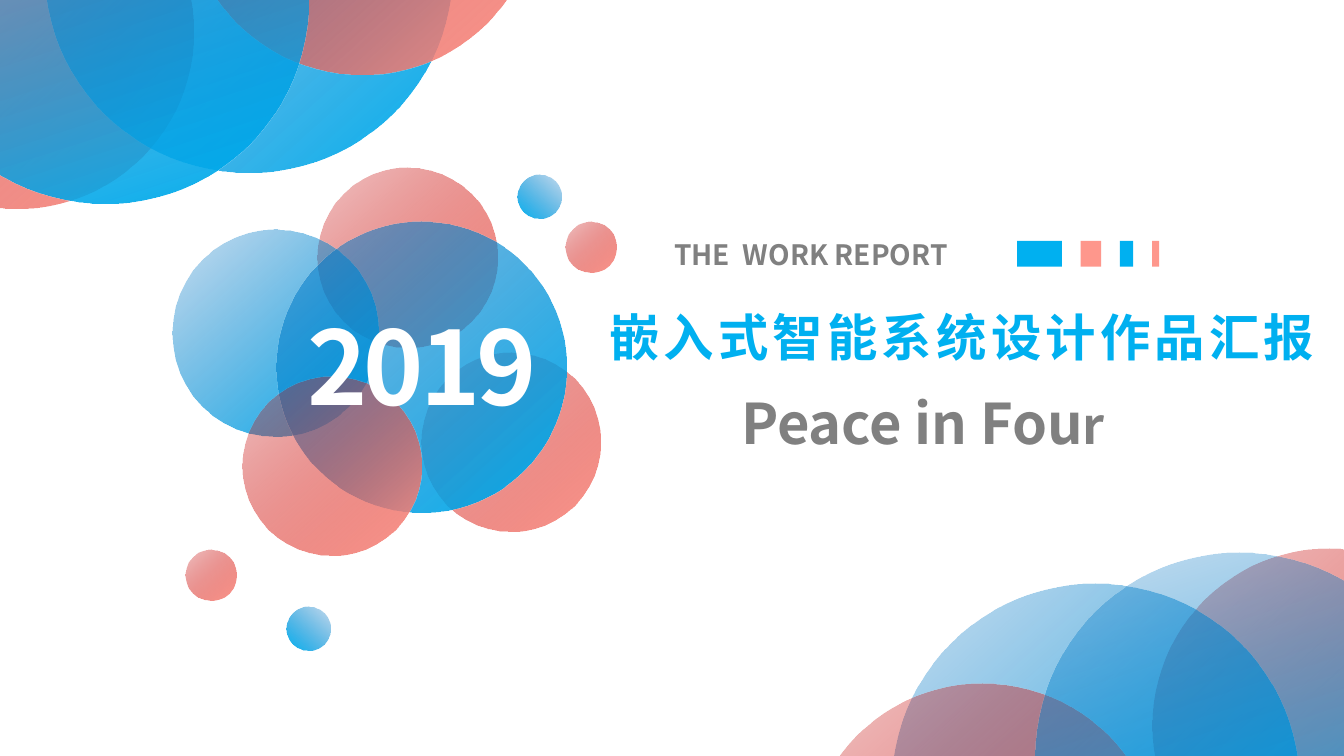
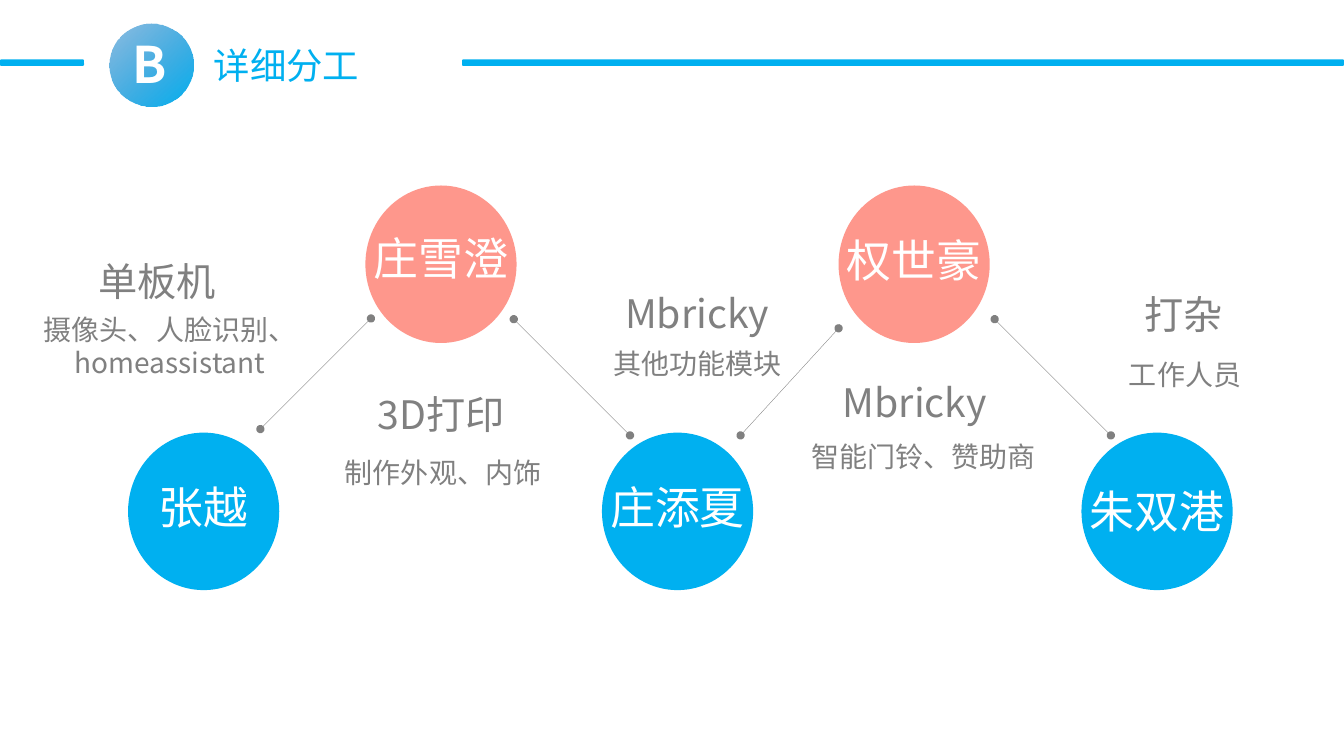
from lxml import etree
from pptx import Presentation
from pptx.dml.color import RGBColor
from pptx.enum import shapes, text
from pptx.oxml.ns import qn
from pptx.util import Pt

FONT = "Noto Sans CJK SC"
COLORS = {"blue": "00B0F0", "deep blue": "0070C0", "coral": "FE978C",
          "deep coral": "C00000", "grey": "808080", "white": "FFFFFF"}
CENTER = text.PP_ALIGN.CENTER
LEFT = text.PP_ALIGN.LEFT


def rgb(name):
    return RGBColor.from_string(COLORS[name])


class Deck:
    """Holds the shared style and the slide being built."""

    def __init__(self):
        self.prs = Presentation()
        self.prs.slide_width, self.prs.slide_height = Pt(960), Pt(540)
        self.s = None

    def new_slide(self, layout):
        self.s = self.prs.slides.add_slide(self.prs.slide_layouts[layout])

    def style(self, sp, content, size, color, bold=False, align=CENTER,
              spacing=0):
        tf = sp.text_frame
        tf.text = content
        tf.word_wrap = True
        tf.auto_size = text.MSO_AUTO_SIZE.SHAPE_TO_FIT_TEXT
        tf.vertical_anchor = text.MSO_ANCHOR.TOP
        p = tf.paragraphs[0]
        p.alignment = align
        p.space_before = Pt(0)
        for r in p.runs:
            r.font.size, r.font.bold, r.font.name = Pt(size), bold, FONT
            r.font.color.rgb = rgb(color)
            rPr = r.font._element
            etree.SubElement(rPr, qn("a:ea")).set("typeface", FONT)
            if spacing:
                rPr.set("spc", str(spacing * 100))
        return p

    def placeholder(self, index, box, content, size, color, **style):
        sp = self.s.placeholders[index]
        sp.left, sp.top, sp.width, sp.height = map(Pt, box)
        return self.style(sp, content, size, color, **style)

    def label(self, box, content, size, color, **style):
        sp = self.s.shapes.add_textbox(*map(Pt, box))
        return self.style(sp, content, size, color, **style)

    def shape(self, kind, box, color=None):
        sp = self.s.shapes.add_shape(kind, *map(Pt, box))
        sp.shadow.inherit = False
        sp.line.fill.background()
        if color:
            sp.fill.solid()
            sp.fill.fore_color.rgb = rgb(color)
        return sp

    def bubble(self, left, top, size, color, angle=48, opacity=22):
        """Circle fading clockwise-angled from a translucent deep tone."""
        sp = self.shape(shapes.MSO_SHAPE.OVAL, (left, top, size, size))
        sp.fill.gradient()
        sp.fill.gradient_angle = 360 - angle
        start, end = sp.fill.gradient_stops
        start.position, end.position = 0, 1
        start.color.rgb, end.color.rgb = rgb("deep " + color), rgb(color)
        tone = next(sp._element.iter(qn("a:srgbClr")))
        etree.SubElement(tone, qn("a:alpha")).set("val", str(opacity * 1000))

    def bar(self, left, width):
        sp = self.shape(shapes.MSO_SHAPE.ROUNDED_RECTANGLE,
                        (left, 42.5, width, 4.5), "blue")
        sp.adjustments[0] = 0.17

    def link(self, *ends):
        """Thin line with a dot at both ends."""
        c = self.s.shapes.add_connector(shapes.MSO_CONNECTOR.STRAIGHT,
                                        *map(Pt, ends))
        c.line.color.rgb = rgb("grey")
        c.line.width = Pt(0.25)
        ln = c.line._get_or_add_ln()
        for tag in ("a:headEnd", "a:tailEnd"):
            etree.SubElement(ln, qn(tag)).set("type", "oval")
        etree.SubElement(c._element.spPr, qn("a:effectLst"))


def cover(deck):
    deck.new_slide(0)
    deck.placeholder(0, (428, 215, 548, 51), "嵌入式智能系统设计作品汇报",
                     36, "blue", bold=True, align=LEFT, spacing=3)
    p = deck.placeholder(1, (484, 274, 350.5, 55.5), "Peace in Fou",
                         40, "grey", bold=True)
    last = p.add_run()
    last.text = "r"
    last.font.size, last.font.bold, last.font.name = Pt(36), True, FONT
    last.font.color.rgb = rgb("grey")

    corner_bubbles = [
        (-114.5, -103.5, 252.5, "coral"), (32, -167.5, 291, "blue"),
        (132.5, -199.5, 252.5, "coral"), (-70.5, -145.5, 291, "blue", 72),
        (823, 392, 252.5, "coral"), (637, 417, 291, "blue"),
        (575.5, 488, 252.5, "coral"), (740, 394.5, 291, "blue", 72)]
    year_bubbles = [
        (227, 120, 128, "coral"), (301, 252, 128, "coral"),
        (123, 164, 147.5, "blue"), (197.5, 158.5, 207.5, "blue", 48, 44),
        (370, 125, 31, "blue", 132), (404, 158.5, 36.5, "coral"),
        (173, 269, 128, "coral"), (205, 433.5, 31, "blue", 132),
        (132.5, 392.5, 36.5, "coral")]
    for bubble in corner_bubbles + year_bubbles:
        deck.bubble(*bubble)
    deck.label((199.5, 213, 204, 96), "2019", 73, "white", bold=True,
               spacing=-3)

    left = 726.5
    for width, color in ((32, "blue"), (14.5, "coral"),
                         (9.5, "blue"), (5, "coral")):
        deck.shape(shapes.MSO_SHAPE.RECTANGLE, (left, 172, width, 18.5), color)
        left += width + 13.5
    deck.label((474.5, 166, 240, 31.5), "THE  WORK REPORT", 20, "grey",
               bold=True, align=LEFT)


def division_of_work(deck):
    deck.new_slide(5)
    deck.placeholder(0, (145.5, 27, 176, 39), "详细分工", 26, "blue",
                     align=LEFT)
    deck.bar(330, 630)
    deck.bar(0, 60)
    deck.bubble(78.5, 16.5, 59.5, "blue", 48, 44)
    deck.label((60, 20, 94, 51), "B", 36, "white", bold=True, spacing=-3)

    for ends in ((186, 306.5, 265, 227.5), (450, 311, 367, 228),
                 (529, 311, 599, 234.5), (793.5, 311, 710.5, 228)):
        deck.link(*ends)

    # name, circle centre, circle top, colour, name top,
    # role, centre, top, detail, centre, top
    members = [
        ("张越", 145.5, 309, "blue", 339,
         "单板机", 112, 180.5, "摄像头、人脸识别、homeassistant", 121.5, 219.5),
        ("庄雪澄", 315, 132.5, "coral", 161,
         "3D打印", 315, 275.5, "制作外观、内饰", 316.5, 322),
        ("庄添夏", 484, 309, "blue", 339,
         "Mbricky", 498, 203, "其他功能模块", 498, 244),
        ("权世豪", 653, 132.5, "coral", 162.5,
         "Mbricky", 653.5, 267, "智能门铃、赞助商", 659.5, 310.5),
        ("朱双港", 826.5, 309, "blue", 342,
         "打杂", 845.5, 203.5, "工作人员", 846.5, 251.5)]
    for (name, x, top, color, name_top, role, role_x, role_top,
         detail, detail_x, detail_top) in members:
        deck.shape(shapes.MSO_SHAPE.OVAL, (x - 54, top, 108, 112.5), color)
        deck.label((x - 60, name_top, 120, 46), name, 32, "white")
        deck.label((role_x - 100, role_top, 200, 41), role, 28, "grey")
        deck.label((detail_x - 113, detail_top, 226, 31.5), detail, 20, "grey")


def main():
    deck = Deck()
    cover(deck)
    division_of_work(deck)
    deck.prs.save("out.pptx")


if __name__ == "__main__":
    main()
